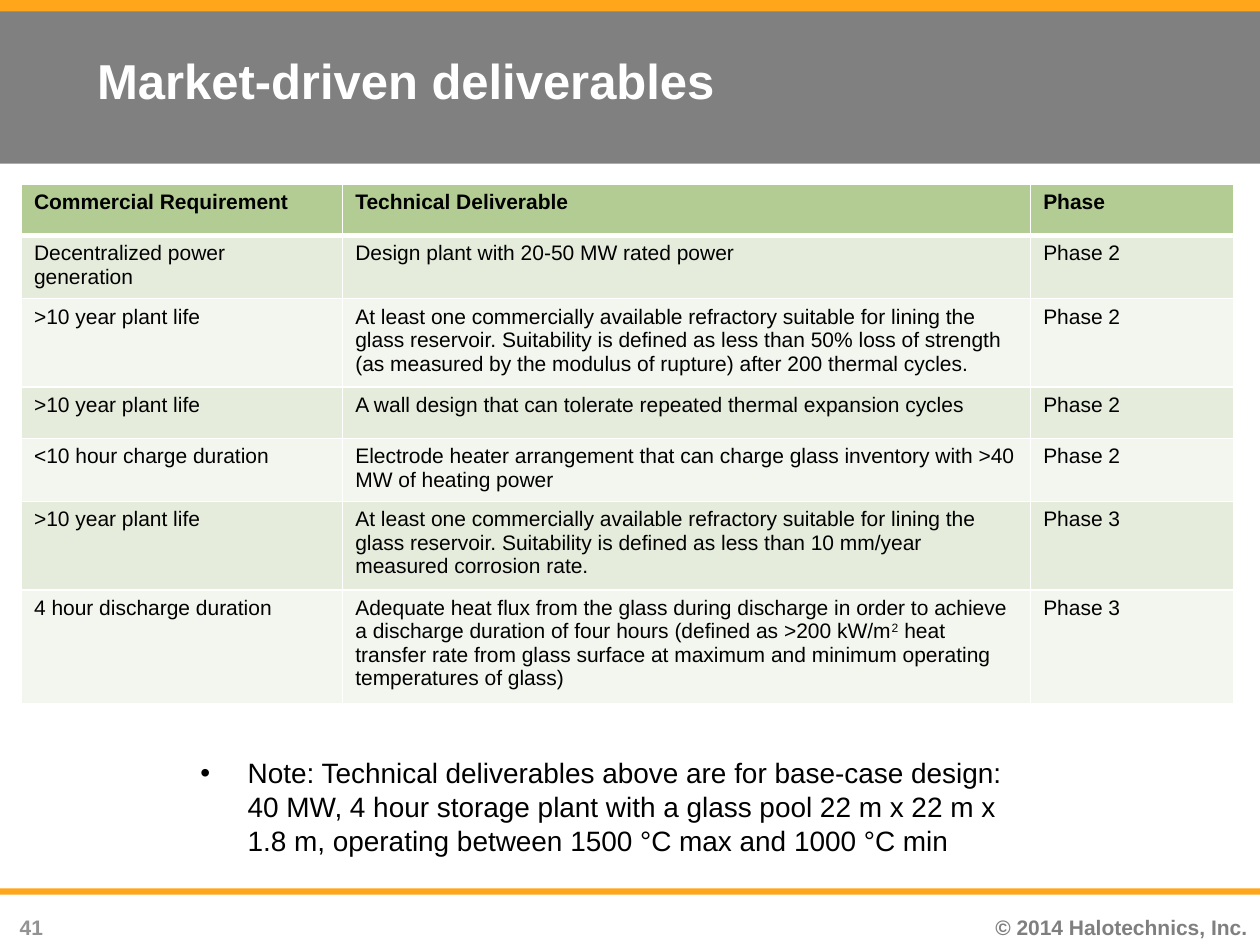
"""Build the market-driven deliverables slide."""
from dataclasses import dataclass

from lxml import etree
from pptx import Presentation
from pptx.dml.color import RGBColor
from pptx.enum.shapes import MSO_SHAPE
from pptx.enum.text import MSO_ANCHOR, MSO_AUTO_SIZE, PP_ALIGN
from pptx.oxml.ns import qn
from pptx.util import Inches, Pt

RECTANGLE = MSO_SHAPE.RECTANGLE
LEFT, RIGHT = PP_ALIGN.LEFT, PP_ALIGN.RIGHT
TOP, MIDDLE = MSO_ANCHOR.TOP, MSO_ANCHOR.MIDDLE
NO_AUTOFIT = MSO_AUTO_SIZE.NONE


@dataclass(frozen=True)
class Theme:
    """Colours and type sizes of the slide."""

    font: str = "Arial"
    title_size: float = 28
    note_size: float = 16
    small_size: float = 12
    thin_rule: float = 1
    thick_rule: float = 3
    band: str = "808080"
    accent: str = "FFA61B"
    white: str = "FFFFFF"
    black: str = "000000"
    copyright: str = "7F7F7F"
    page_number: str = "939393"
    header_fill: str = "B3CC94"
    odd_fill: str = "E5ECDC"
    even_fill: str = "F2F6EE"


@dataclass(frozen=True)
class Area:
    """A rectangle on the slide, in inches."""

    left: float
    top: float
    width: float
    height: float

    def lengths(self) -> list:
        """Return the four measures as lengths."""
        return [Inches(n) for n in (self.left, self.top, self.width, self.height)]


@dataclass(frozen=True)
class Bar:
    """A plain coloured bar."""

    area: Area
    color: str


@dataclass(frozen=True)
class Style:
    """The look of a piece of text."""

    size: float
    color: str
    bold: bool = False


@dataclass(frozen=True)
class FooterText:
    """A right-aligned line in the footer."""

    area: Area
    text: str
    color: str


@dataclass(frozen=True)
class Deliverable:
    """One table row, its technical text followed by an optional exponent and tail."""

    requirement: str
    technical: str
    phase: str
    exponent: str = ""
    tail: str = ""


THEME = Theme()
BARS = [
    Bar(Area(0, 0, 10, 1.3), THEME.band),
    Bar(Area(0, 7.05, 10, 0.05), THEME.accent),
    Bar(Area(0, 0, 10, 0.09), THEME.accent),
]
FOOTERS = [
    FooterText(Area(7.51, 7.21, 2.49, 0.29), "© 2014 Halotechnics, Inc.", THEME.copyright),
    FooterText(Area(0, 7.21, 0.44, 0.26), "41", THEME.page_number),
]
TITLE = "Market-driven deliverables"
NOTE = (
    "Note: Technical deliverables above are for base-case design: 40 MW, 4 hour storage plant "
    "with a glass pool 22 m x 22 m x 1.8 m, operating between 1500 °C max and 1000 °C min"
)
REFRACTORY = (
    "At least one commercially available refractory suitable for lining the glass reservoir. "
    "Suitability is defined as less than "
)
PLANT_LIFE = ">10 year plant life"
COLUMN_WIDTHS = [2.55, 5.46, 1.61]
ROW_HEIGHT = 0.41
ROWS = [
    Deliverable("Commercial Requirement", "Technical Deliverable", "Phase"),
    Deliverable("Decentralized power generation", "Design plant with 20-50 MW rated power", "Phase 2"),
    Deliverable(
        PLANT_LIFE,
        REFRACTORY + "50% loss of strength (as measured by the modulus of rupture) after 200 thermal cycles.",
        "Phase 2",
    ),
    Deliverable(PLANT_LIFE, "A wall design that can tolerate repeated thermal expansion cycles", "Phase 2"),
    Deliverable(
        "<10 hour charge duration",
        "Electrode heater arrangement that can charge glass inventory with >40 MW of heating power",
        "Phase 2",
    ),
    Deliverable(PLANT_LIFE, REFRACTORY + "10 mm/year measured corrosion rate.", "Phase 3"),
    Deliverable(
        "4 hour discharge duration",
        "Adequate heat flux from the glass during discharge in order to achieve a discharge duration "
        "of four hours (defined as >200 kW/m",
        "Phase 3",
        "2",
        " heat transfer rate from glass surface at maximum and minimum operating temperatures of glass)",
    ),
]


def add_span(para, text: str, style: Style, baseline: int = 0) -> None:
    """Add one formatted run, raised by a percentage when asked."""
    span = para.add_run()
    span.text = text
    span.font.name = THEME.font
    span.font.size = Pt(style.size)
    span.font.bold = style.bold
    span.font.color.rgb = RGBColor.from_string(style.color)
    if baseline:
        span._r.get_or_add_rPr().set("baseline", str(baseline * 1000))


def add_bar(page, bar: Bar) -> None:
    """Draw a bar behind the title."""
    box = page.shapes.add_shape(RECTANGLE, *bar.area.lengths())
    box.shadow.inherit = False
    box.fill.solid()
    box.fill.fore_color.rgb = RGBColor.from_string(bar.color)
    box.line.fill.background()
    page.shapes.title._element.addprevious(box._element)


def add_footer(page, footer: FooterText) -> None:
    """Write one footer line."""
    frame = page.shapes.add_textbox(*footer.area.lengths()).text_frame
    frame.word_wrap = True
    para = frame.paragraphs[0]
    para.alignment = RIGHT
    add_span(para, footer.text, Style(THEME.small_size, footer.color, True))


def fill_placeholder(box, area: Area, text: str, style: Style, anchor: MSO_ANCHOR) -> None:
    """Move a placeholder and write its only paragraph."""
    box.left, box.top, box.width, box.height = area.lengths()
    frame = box.text_frame
    frame.auto_size = NO_AUTOFIT
    frame.vertical_anchor = anchor
    para = frame.paragraphs[0]
    para.alignment = LEFT
    para.space_before = Pt(0)
    add_span(para, text, style)


def add_border(cell, side: str, width: float) -> None:
    """Give one side of a cell a white border."""
    properties = cell._tc.get_or_add_tcPr()
    line = etree.SubElement(properties, qn(f"a:ln{side}"), w=str(Pt(width)))
    fill = etree.SubElement(line, qn("a:solidFill"))
    etree.SubElement(fill, qn("a:srgbClr"), val=THEME.white)


def format_cell(cell, row: int) -> None:
    """Set the borders and fill that belong to a row."""
    for side in "LRTB":
        under_header = (row, side) in ((0, "B"), (1, "T"))
        add_border(cell, side, THEME.thick_rule if under_header else THEME.thin_rule)
    body_fill = THEME.odd_fill if row % 2 else THEME.even_fill
    cell.fill.solid()
    cell.fill.fore_color.rgb = RGBColor.from_string(body_fill if row else THEME.header_fill)


def add_deliverables(page, area: Area) -> None:
    """Build the table of deliverables."""
    table = page.shapes.add_table(len(ROWS), len(COLUMN_WIDTHS), *area.lengths()).table
    table.first_row = table.horz_banding = False
    for column, width in zip(table.columns, COLUMN_WIDTHS):
        column.width = Inches(width)
    for row, item in enumerate(ROWS):
        table.rows[row].height = Inches(ROW_HEIGHT)
        style = Style(THEME.small_size, THEME.black, row == 0)
        for column, text in enumerate((item.requirement, item.technical, item.phase)):
            cell = table.cell(row, column)
            format_cell(cell, row)
            add_span(cell.text_frame.paragraphs[0], text, style)
        if item.exponent:
            para = table.cell(row, 1).text_frame.paragraphs[0]
            add_span(para, item.exponent, style, 30)
            add_span(para, item.tail, style)


def main() -> None:
    """Assemble and save the deck."""
    deck = Presentation()
    deck.slide_width, deck.slide_height = Inches(10), Inches(7.5)
    page = deck.slides.add_slide(deck.slide_layouts[1])
    for bar in BARS:
        add_bar(page, bar)
    for footer in FOOTERS:
        add_footer(page, footer)
    title_style = Style(THEME.title_size, THEME.white, True)
    fill_placeholder(page.shapes.title, Area(0.67, -0.02, 9, 1.31), TITLE, title_style, MIDDLE)
    note_style = Style(THEME.note_size, THEME.black)
    fill_placeholder(page.placeholders[1], Area(1.49, 5.95, 6.83, 1.01), NOTE, note_style, TOP)
    add_deliverables(page, Area(0.17, 1.46, sum(COLUMN_WIDTHS), ROW_HEIGHT * len(ROWS)))
    deck.save("out.pptx")


if __name__ == "__main__":
    main()
